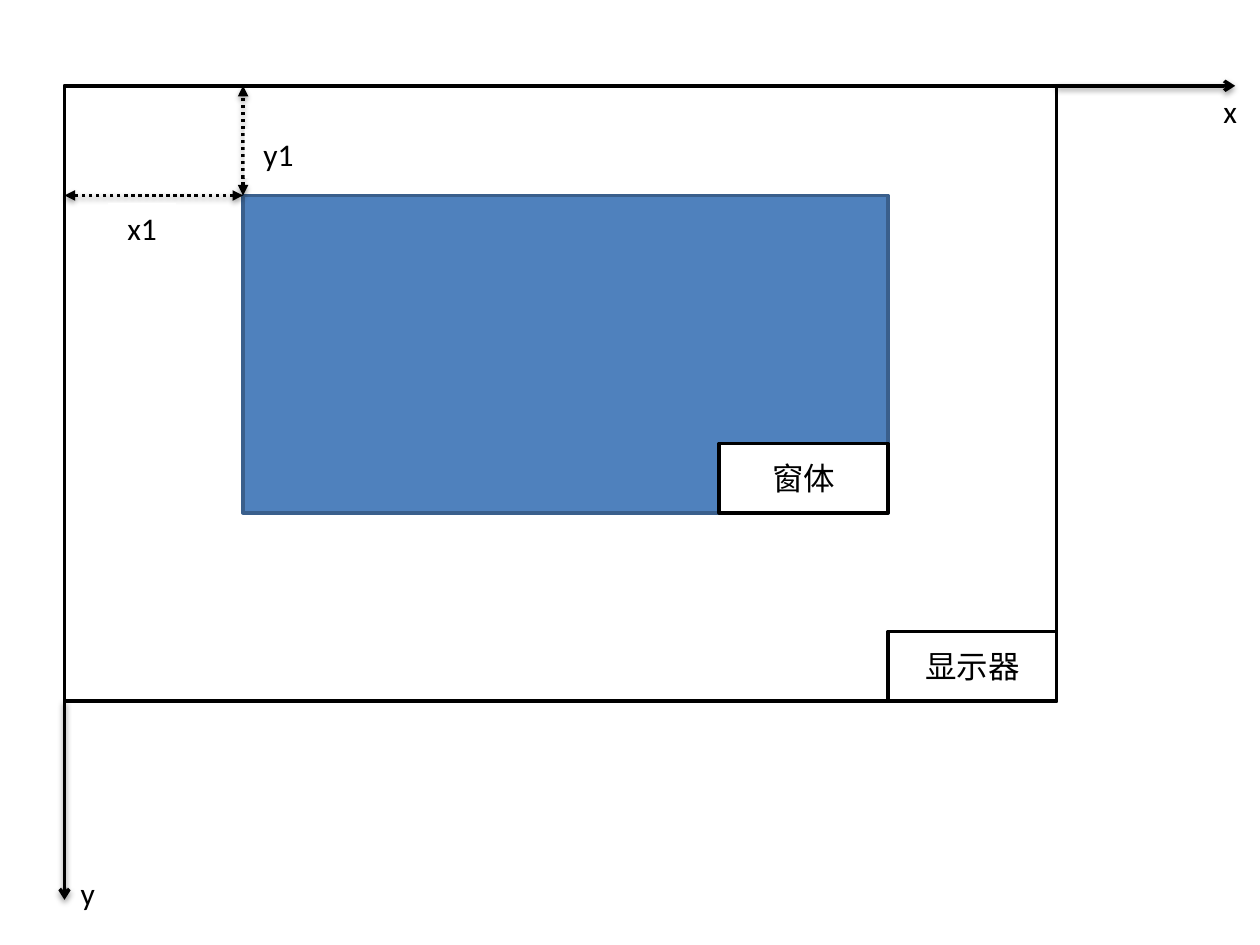
from dataclasses import dataclass
from typing import Optional

from lxml.etree import SubElement
from pptx import Presentation
from pptx.dml.color import RGBColor
from pptx.enum.dml import MSO_LINE
from pptx.enum.shapes import MSO_CONNECTOR, MSO_SHAPE
from pptx.enum.text import MSO_ANCHOR, PP_ALIGN
from pptx.oxml.ns import qn
from pptx.slide import Slide
from pptx.util import Cm, Pt

BLACK = RGBColor(0x00, 0x00, 0x00)
WHITE = RGBColor(0xFF, 0xFF, 0xFF)
WINDOW_BLUE = RGBColor(0x4F, 0x81, 0xBD)
WINDOW_BORDER = RGBColor(0x3A, 0x5F, 0x8C)
FONT_NAME = "Calibri"
TAG_WIDTH, TAG_HEIGHT = 3.4, 1.4


@dataclass(frozen=True)
class Box:
    left: float
    top: float
    width: float
    height: float
    text: str = ""
    fill: RGBColor = WHITE
    border: Optional[RGBColor] = None

    @property
    def right(self) -> float:
        return self.left + self.width

    @property
    def bottom(self) -> float:
        return self.top + self.height


@dataclass(frozen=True)
class Arrow:
    start: tuple[float, float]
    end: tuple[float, float]
    is_dimension: bool = False


def corner_tag(owner: Box, text: str) -> Box:
    return Box(owner.right - TAG_WIDTH, owner.bottom - TAG_HEIGHT,
               TAG_WIDTH, TAG_HEIGHT, text, border=BLACK)


def draw_box(slide: Slide, box: Box) -> None:
    shape = slide.shapes.add_shape(
        MSO_SHAPE.RECTANGLE, Cm(box.left), Cm(box.top), Cm(box.width), Cm(box.height))
    shape.shadow.inherit = False
    shape.fill.solid()
    shape.fill.fore_color.rgb = box.fill
    if box.border is None:
        shape.line.fill.background()
    else:
        shape.line.color.rgb = box.border
        shape.line.width = Pt(2)
    if box.text:
        shape.text_frame.vertical_anchor = MSO_ANCHOR.MIDDLE
        paragraph = shape.text_frame.paragraphs[0]
        paragraph.alignment = PP_ALIGN.CENTER
        run = paragraph.add_run()
        run.text = box.text
        run.font.name = FONT_NAME
        run.font.size = Pt(18)
        run.font.color.rgb = BLACK


def draw_arrow(slide: Slide, arrow: Arrow) -> None:
    connector = slide.shapes.add_connector(
        MSO_CONNECTOR.STRAIGHT, *map(Cm, arrow.start + arrow.end))
    connector.line.color.rgb = BLACK
    connector.line.width = Pt(2)
    line = connector.line._get_or_add_ln()
    if arrow.is_dimension:
        connector.line.dash_style = MSO_LINE.ROUND_DOT
        SubElement(line, qn("a:headEnd"), type="triangle")
        SubElement(line, qn("a:tailEnd"), type="triangle")
    else:
        SubElement(line, qn("a:tailEnd"), type="arrow")


def main() -> None:
    presentation = Presentation()
    presentation.slide_width = Cm(25.4)
    presentation.slide_height = Cm(19.05)
    slide = presentation.slides.add_slide(presentation.slide_layouts[6])

    monitor = Box(1.3, 1.73, 20, 12.4, border=BLACK)
    window = Box(4.9, 3.94, 13, 6.4, fill=WINDOW_BLUE, border=WINDOW_BORDER)
    window_corner = (window.left, window.top)

    axis_labels = [Box(24.3, 1.73, 1, 1, "x"), Box(1.27, 17.5, 1, 1, "y")]
    screens = [monitor, corner_tag(monitor, "显示器"), window, corner_tag(window, "窗体")]
    arrows = [
        Arrow((monitor.right, monitor.top), (24.9, monitor.top)),
        Arrow((monitor.left, monitor.bottom), (monitor.left, 18.14)),
        Arrow(window_corner, (monitor.left, window.top), is_dimension=True),
        Arrow(window_corner, (window.left, monitor.top), is_dimension=True),
    ]
    offset_labels = [Box(4.93, 2.6, 1.37, 1, "y1"), Box(2.18, 4.09, 1.37, 1, "x1")]

    for box in axis_labels + screens:
        draw_box(slide, box)
    for arrow in arrows:
        draw_arrow(slide, arrow)
    for box in offset_labels:
        draw_box(slide, box)

    presentation.save("out.pptx")


if __name__ == "__main__":
    main()
